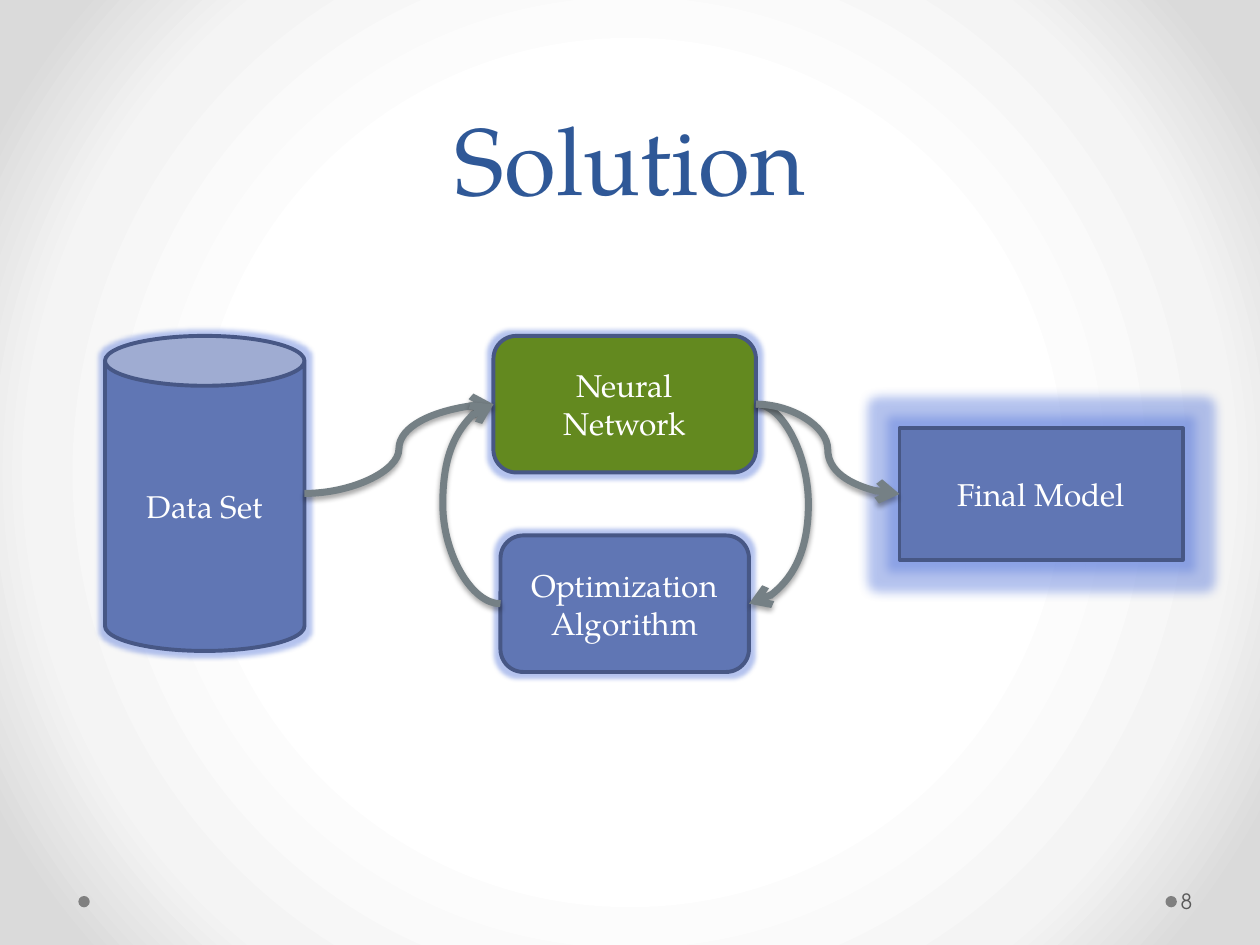
from pptx import Presentation
from pptx.dml.color import RGBColor
from pptx.enum.shapes import MSO_CONNECTOR as Connector, MSO_SHAPE as Shape
from pptx.enum.text import MSO_ANCHOR as Anchor, PP_ALIGN as Align
from pptx.oxml import parse_xml
from pptx.oxml.ns import nsdecls
from pptx.util import Pt

SERIF, SANS = "TeX Gyre Pagella", "TeX Gyre Adventor"
BLUE, GREEN, EDGE, ARROW, DOT = "6076B4", "63891F", "475785", "758085", "808080"
LEFT, RIGHT = 1, 3  # connection sites of a box


def color(value):
    """Turn a hex string into a colour."""
    return RGBColor.from_string(value)


def set_background(page):
    """Give the page a radial gradient from white to grey."""
    page.background.fill.solid()
    holder = page.background.fill._xPr
    stops = "".join(
        f'<a:gs pos="{place * 1000}"><a:srgbClr val="{value}"/></a:gs>'
        for place, value in ((50, "FFFFFF"), (76, "F4F4F4"), (92, "DADADA")))
    gradient = parse_xml(
        f'<a:gradFill {nsdecls("a")} rotWithShape="1"><a:gsLst>{stops}</a:gsLst>'
        '<a:path path="circle"><a:fillToRect l="50000" t="50000" r="50000" b="50000"/>'
        '</a:path></a:gradFill>')
    holder.replace(holder.eg_fillProperties, gradient)


def add_effect(element, effect):
    """Replace the effects of a shape or connector."""
    for old in element.spPr.findall("{*}effectLst"):
        element.spPr.remove(old)
    element.spPr.append(
        parse_xml(f'<a:effectLst {nsdecls("a")}>{effect}</a:effectLst>'))


def write(shape, text, size, font, value, align=Align.CENTER, anchor=Anchor.MIDDLE):
    """Put one formatted paragraph into a shape and return it."""
    frame = shape.text_frame
    frame.word_wrap = True
    frame.vertical_anchor = anchor
    frame.text = text
    para = frame.paragraphs[0]
    para.alignment = align
    span = para.runs[0]
    span.font.size, span.font.name = Pt(size), font
    span.font.color.rgb = color(value)
    return para


def add_node(page, kind, text, place, fill=BLUE, glow=5):
    """Draw a labelled, glowing node of the diagram."""
    node = page.shapes.add_shape(kind, *map(Pt, place))
    node.fill.solid()
    node.fill.fore_color.rgb = color(fill)
    node.line.color.rgb = color(EDGE)
    node.line.width = Pt(2.25)
    add_effect(node._element,
               f'<a:glow rad="{Pt(glow)}"><a:srgbClr val="5B7BDB">'
               '<a:alpha val="45000"/></a:srgbClr></a:glow>')
    write(node, text, 18, SERIF, "FFFFFF")
    return node


def add_arrow(page, start, end, bend=0.5, source=None, target=None):
    """Draw a curved arrow; bend is the turning point as a share of its width."""
    arrow = page.shapes.add_connector(Connector.CURVE, *map(Pt, start + end))
    if source:
        arrow.begin_connect(*source)
    if target:
        arrow.end_connect(*target)
    arrow.line.color.rgb = color(ARROW)
    arrow.line.width = Pt(4)
    properties = arrow._element.spPr
    properties.prstGeom.avLst.append(parse_xml(
        f'<a:gd {nsdecls("a")} name="adj1" fmla="val {round(bend * 100000)}"/>'))
    properties.find("{*}ln").append(
        parse_xml(f'<a:tailEnd {nsdecls("a")} type="arrow"/>'))
    frame = properties.xfrm
    if frame.flipH and frame.flipV:
        frame.flipH = frame.flipV = False
        frame.rot = 180
    add_effect(arrow._element,
               f'<a:outerShdw blurRad="{Pt(3.1)}" dist="{Pt(1.8)}" dir="5400000" '
               'rotWithShape="0"><a:srgbClr val="000000"><a:alpha val="35000"/>'
               '</a:srgbClr></a:outerShdw>')


def add_dot(page, left):
    """Draw a small footer dot."""
    dot = page.shapes.add_shape(Shape.OVAL, Pt(left), Pt(512), Pt(6.5), Pt(6.5))
    dot.shadow.inherit = False
    dot.fill.solid()
    dot.fill.fore_color.rgb = color(DOT)
    dot.line.fill.background()


def add_title(page, text):
    """Write the slide title."""
    box = page.shapes.add_textbox(Pt(36), Pt(0), Pt(648), Pt(126))
    para = write(box, text, 54, SERIF, "2F5897", anchor=Anchor.BOTTOM)
    para.line_spacing = Pt(58)


def add_page_number(page, text):
    """Write the slide number beside the right dot."""
    box = page.shapes.add_textbox(Pt(672.5), Pt(500.5), Pt(44), Pt(28.8))
    write(box, text, 12, SANS, "595959", align=Align.LEFT)
    box.text_frame.margin_left = Pt(2.2)


def main():
    """Build the slide and save it."""
    deck = Presentation()
    deck.slide_width, deck.slide_height = Pt(720), Pt(540)
    page = deck.slides.add_slide(deck.slide_layouts[6])
    set_background(page)
    for left in (666, 44.8):
        add_dot(page, left)
    add_title(page, "Solution")
    add_page_number(page, "8")

    add_node(page, Shape.CAN, "Data Set", (60, 192, 114, 180))
    network = add_node(page, Shape.ROUNDED_RECTANGLE, "Neural Network",
                       (282, 192, 150, 78), fill=GREEN)
    algorithm = add_node(page, Shape.ROUNDED_RECTANGLE, "Optimization Algorithm",
                         (286, 306, 142, 78))
    model = add_node(page, Shape.RECTANGLE, "Final Model",
                     (514, 244.8, 162, 75), glow=12)

    add_arrow(page, (174, 282), (282, 231), target=(network, LEFT))
    add_arrow(page, (432, 231), (428, 345), bend=-7.5,
              source=(network, RIGHT), target=(algorithm, RIGHT))
    add_arrow(page, (286, 345), (282, 231), bend=8.25,
              source=(algorithm, LEFT), target=(network, LEFT))
    add_arrow(page, (432, 231), (514, 282.3),
              source=(network, RIGHT), target=(model, LEFT))
    deck.save("out.pptx")


main()
